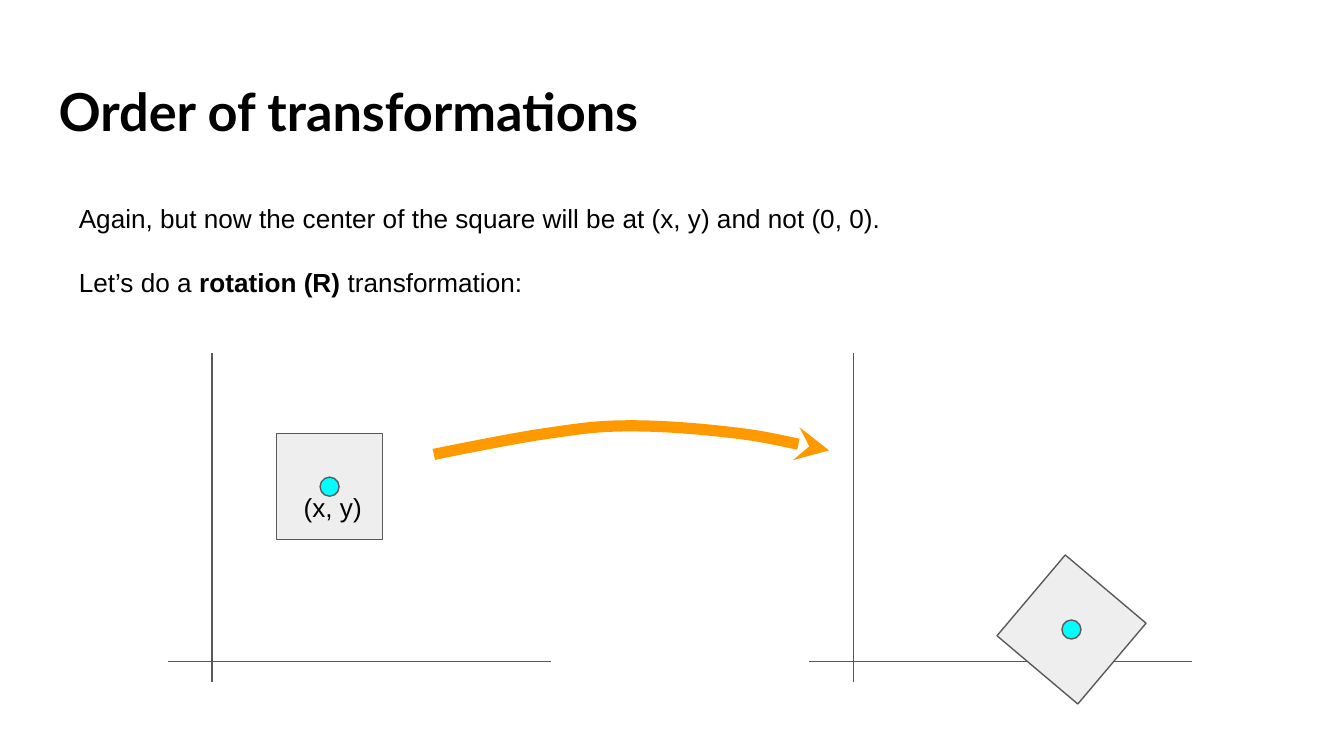
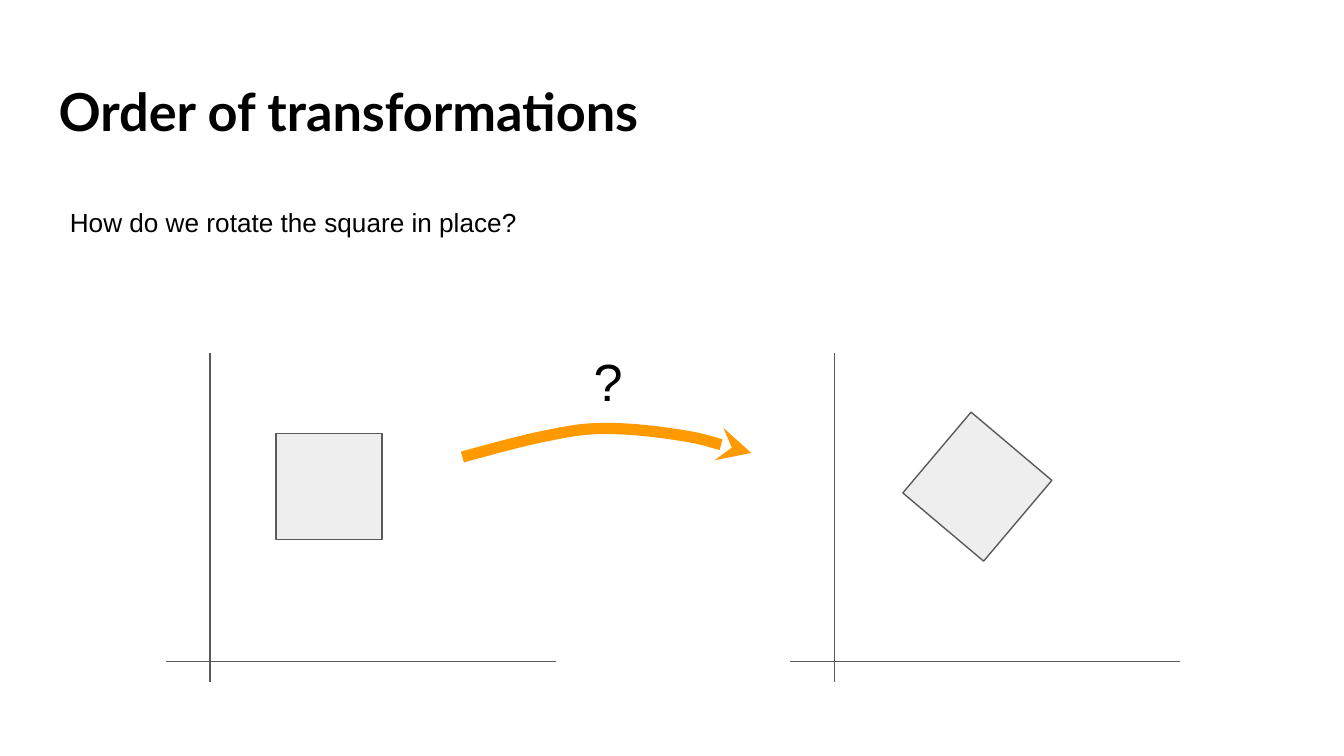
"""Build two slides on the order of transformations."""
import dataclasses

import pptx
import pptx.dml.color
import pptx.enum.shapes
import pptx.oxml.ns
import pptx.oxml.xmlchemy
import pptx.util

Cm = pptx.util.Cm
Pt = pptx.util.Pt
Shape = pptx.enum.shapes.MSO_SHAPE
make = pptx.oxml.xmlchemy.OxmlElement


@dataclasses.dataclass(frozen=True)
class Theme:
    ink: str = "000000"
    edge: str = "595959"
    face: str = "EEEEEE"
    dot: str = "00FFFF"
    arrow: str = "FF9900"
    head: str = "Lato"
    body: str = "Arial"
    large: float = 28
    small: float = 14
    thin: float = 0.75
    thick: float = 6
    gap: float = 17.5


ARC = [
    (0, 1), (0.05, 0.86), (0.22, 0.38), (0.3, 0.24),
    (0.39, 0.05), (0.43, 0), (0.5, 0),
    (0.58, 0), (0.67, 0.1), (0.75, 0.23),
    (0.83, 0.35), (0.96, 0.76), (1, 0.86),
]


def color(code):
    return pptx.dml.color.RGBColor.from_string(code)


def write(box, text, font, size, ink, bold=False, gap=0):
    frame = box.text_frame
    frame.word_wrap = True
    frame.margin_left = frame.margin_right = Cm(0.25)
    frame.margin_top = frame.margin_bottom = Cm(0.25)
    for row, line in enumerate(text.split("\n")):
        para = frame.add_paragraph() if row else frame.paragraphs[0]
        if row:
            para.space_before = Pt(gap)
        for part, words in enumerate(line.split("*")):
            run = para.add_run()
            run.text = words
            run.font.name = font
            run.font.size = Pt(size)
            run.font.bold = bold or part % 2 == 1
            run.font.color.rgb = color(ink)


class Deck:
    def __init__(self, theme):
        self.theme = theme
        self.file = pptx.Presentation()
        self.file.slide_width = Cm(25.4)
        self.file.slide_height = Cm(14.29)
        self.slide = None

    def page(self, title):
        self.slide = self.file.slides.add_slide(self.file.slide_layouts[6])
        self.text(title, 0.86, 1.24, 23.67, 1.6, font=self.theme.head,
                  size=self.theme.large, bold=True)

    def text(self, text, left, top, width, height, **style):
        box = self.slide.shapes.add_textbox(Cm(left), Cm(top), Cm(width), Cm(height))
        base = {"font": self.theme.body, "size": self.theme.small,
                "ink": self.theme.ink, "gap": self.theme.gap}
        write(box, text, **(base | style))

    def stroke(self, line, ink, width):
        line.color.rgb = color(ink)
        line.width = Pt(width)

    def line(self, *ends):
        kind = pptx.enum.shapes.MSO_CONNECTOR.STRAIGHT
        line = self.slide.shapes.add_connector(kind, *map(Cm, ends))
        self.stroke(line.line, self.theme.edge, self.theme.thin)
        line._element.spPr.append(make("a:effectLst"))

    def axes(self, x, width):
        self.line(x, 6.68, x, 12.9)
        self.line(x - 0.84, 12.5, x - 0.84 + width, 12.5)

    def solid(self, kind, x, y, size, fill, turn=0):
        item = self.slide.shapes.add_shape(
            kind, Cm(x - size / 2), Cm(y - size / 2), Cm(size), Cm(size))
        item.shadow.inherit = False
        item.rotation = turn
        item.fill.solid()
        item.fill.fore_color.rgb = color(fill)
        self.stroke(item.line, self.theme.edge, self.theme.thin)

    def square(self, x, y, turn=0):
        self.solid(Shape.RECTANGLE, x, y, 2, self.theme.face, turn)

    def dot(self, x, y):
        self.solid(Shape.OVAL, x, y, 0.36, self.theme.dot)

    def curve(self, left, top, width, height=0.54):
        spots = [(Cm(left + width * x), Cm(top + height * y)) for x, y in ARC]
        form = self.slide.shapes.build_freeform(*spots[0])
        form.add_line_segments(spots[1:], close=False)
        item = form.convert_to_shape()
        item.shadow.inherit = False
        item.fill.background()
        self.stroke(item.line, self.theme.arrow, self.theme.thick)
        tail = make("a:tailEnd")
        tail.set("type", "stealth")
        item._element.spPr.find(pptx.oxml.ns.qn("a:ln")).append(tail)
        track = item._element.find(".//" + pptx.oxml.ns.qn("a:path"))
        steps = track.findall(pptx.oxml.ns.qn("a:lnTo"))
        for start in range(0, len(steps), 3):
            bend = make("a:cubicBezTo")
            for step in steps[start:start + 3]:
                bend.append(step[0])
                track.remove(step)
            track.append(bend)


def main():
    deck = Deck(Theme())
    title = "Order of transformations"
    turn = 40.2

    deck.page(title)
    deck.text("Again, but now the center of the square will be at (x, y) and not (0, 0).\n"
              "Let’s do a *rotation (R)* transformation:", 1.24, 3.58, 15.95, 2.26)
    for x in (4.01, 16.13):
        deck.axes(x, 7.24)
    deck.square(6.23, 9.2)
    deck.curve(8.2, 8.05, 7.47)
    deck.square(20.25, 11.9, turn)
    deck.text("(x, y)", 5.49, 9.04, 1.75, 0.91)
    deck.dot(6.23, 9.2)
    deck.dot(20.25, 11.9)

    deck.page(title)
    deck.text("How do we rotate the square in place?", 1.07, 3.66, 12.27, 2.26)
    for x in (3.97, 15.77):
        deck.axes(x, 7.37)
    deck.square(6.22, 9.2)
    deck.curve(8.74, 8.1, 5.46)
    deck.square(18.47, 9.2, turn)
    deck.text("?", 10.97, 6.35, 1.02, 1.32, size=deck.theme.large)

    deck.file.save("out.pptx")


if __name__ == "__main__":
    main()
